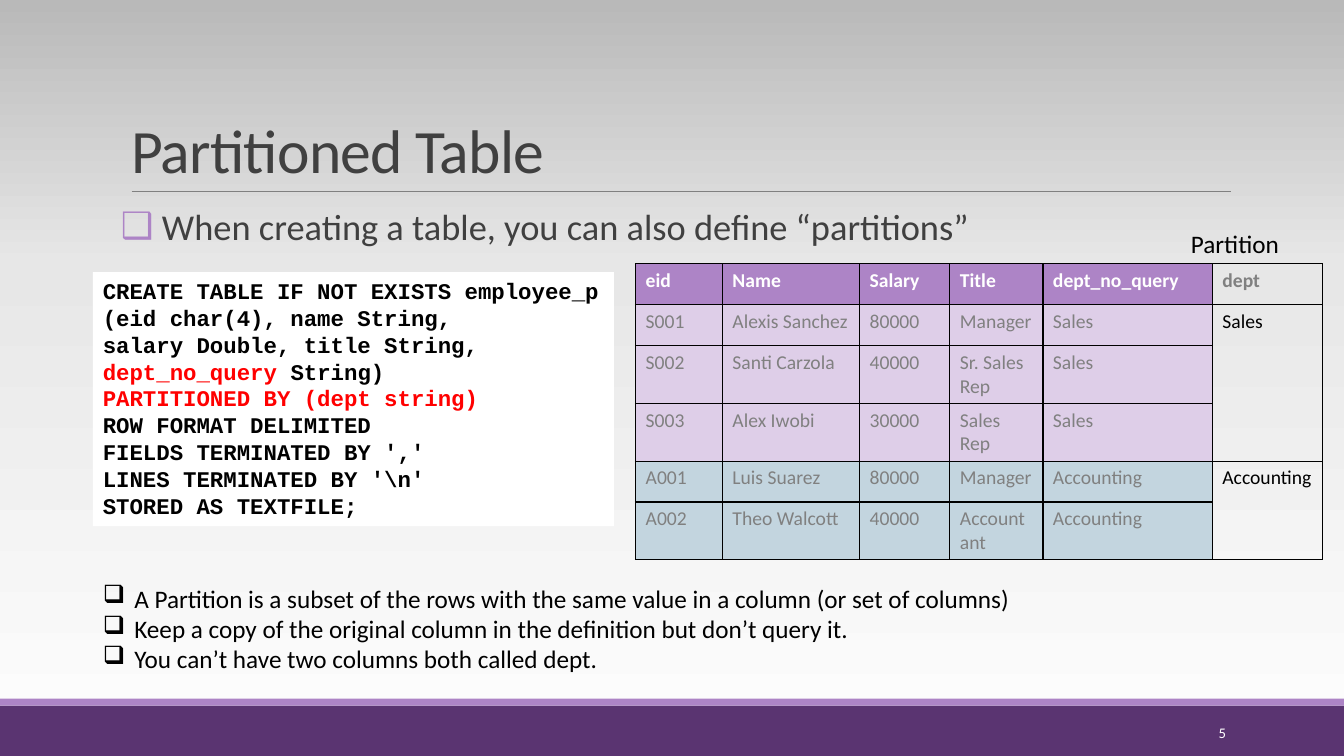
from copy import deepcopy
from dataclasses import dataclass

from lxml.etree import SubElement as Sub
from pptx import Presentation
from pptx.dml.color import RGBColor as Rgb
from pptx.enum.shapes import MSO_CONNECTOR as Link, MSO_SHAPE as Kind
from pptx.enum.text import MSO_ANCHOR as Anchor, MSO_AUTO_SIZE as Auto, PP_ALIGN as Align
from pptx.oxml.ns import qn
from pptx.util import Pt

BLACK, WHITE, RED, GREY, DARK = "000000", "FFFFFF", "FF0000", "808080", "404040"
LILAC, PLUM, PINK, BLUE = "AD84C6", "5A3471", "DECEE8", "C3D5DF"


@dataclass(frozen=True)
class Style:
    """Look of a paragraph's text."""
    size: float
    color: str = BLACK
    bold: bool = False
    face: str = "Calibri"


@dataclass(frozen=True)
class Box:
    """Place and size in points."""
    left: float
    top: float
    width: float
    height: float

    def sides(self) -> tuple:
        """Return the four lengths."""
        return Pt(self.left), Pt(self.top), Pt(self.width), Pt(self.height)


@dataclass(frozen=True)
class Group:
    """Table rows that share one partition."""
    dept: str
    fill: str
    rows: tuple


def paint(color: str) -> Rgb:
    """Turn a hex string into a colour."""
    return Rgb.from_string(color)


def write(par, text: str, style: Style) -> None:
    """Put styled text in a paragraph."""
    par.add_run().text = text
    dress(par, style)


def dress(par, style: Style) -> None:
    """Set a paragraph's font."""
    font = par.font
    font.name, font.size, font.bold = style.face, Pt(style.size), style.bold
    font.color.rgb = paint(style.color)


def mark(par, indent: float, color: str) -> None:
    """Give a paragraph a hanging box bullet."""
    props = par._p.get_or_add_pPr()
    props.set("marL", str(Pt(indent)))
    props.set("indent", str(-Pt(indent)))
    Sub(Sub(props, qn("a:buClr")), qn("a:srgbClr"), val=color)
    Sub(props, qn("a:buChar"), char="\u2751")


def place(shape, box: Box) -> None:
    """Move and size a shape."""
    shape.left, shape.top, shape.width, shape.height = box.sides()


def block(slide, box: Box, color: str):
    """Draw a plain filled rectangle."""
    shape = slide.shapes.add_shape(Kind.RECTANGLE, *box.sides())
    shape.shadow.inherit = False
    shape.fill.solid()
    shape.fill.fore_color.rgb = paint(color)
    shape.line.fill.background()
    return shape


def label(slide, box: Box, lines: tuple, style: Style, indent: float = 0):
    """Add a text box, with bullets if an indent is given."""
    frame = slide.shapes.add_textbox(*box.sides()).text_frame
    frame.word_wrap = False
    for i, line in enumerate(lines):
        par = frame.add_paragraph() if i else frame.paragraphs[0]
        if indent:
            mark(par, indent, style.color)
        write(par, line, style)
    return frame


def shade(slide) -> None:
    """Fill the background with a grey gradient."""
    fill = slide.background.fill
    fill.gradient()
    fill.gradient_angle = 90
    first = fill.gradient_stops[0]._gs
    first.addnext(deepcopy(first))
    looks = (0, "FEFEFE"), (0.65, "E7E7E7"), (1, "B9B9B9")
    for stop, (spot, color) in zip(fill.gradient_stops, looks):
        stop.position = spot
        stop.color.rgb = paint(color)


def rule(slide, left: float, right: float, top: float) -> None:
    """Draw the thin line below the title."""
    line = slide.shapes.add_connector(Link.STRAIGHT, Pt(left), Pt(top), Pt(right), Pt(top))
    line.line.color.rgb = paint(GREY)
    line.line.width = Pt(0.5)
    Sub(line._element.spPr, qn("a:effectLst"))


def frame_cell(cell) -> None:
    """Draw black borders on all sides of a cell."""
    props = cell._tc.get_or_add_tcPr()
    for i, side in enumerate(("lnL", "lnR", "lnT", "lnB")):
        edge = Sub(props, qn(f"a:{side}"), w=str(Pt(1)))
        Sub(Sub(edge, qn("a:solidFill")), qn("a:srgbClr"), val=BLACK)
        props.insert(i, edge)


def fill_cell(cell, text: str, style: Style, color: str = "") -> None:
    """Fill, frame and write one table cell."""
    if color:
        cell.fill.solid()
        cell.fill.fore_color.rgb = paint(color)
    else:
        cell.fill.background()
    frame_cell(cell)
    if text:
        write(cell.text_frame.paragraphs[0], text, style)


def staff_table(slide, left: float, top: float, groups: tuple) -> None:
    """Build the staff table with its merged partition column."""
    heads = "eid", "Name", "Salary", "Title", "dept_no_query"
    widths = 62, 98, 64.5, 66.5, 121, 79
    high, last = 29.2, len(heads)
    count = 1 + sum(len(group.rows) for group in groups)
    box = Box(left, top, sum(widths), high * count)
    table = slide.shapes.add_table(count, len(widths), *box.sides()).table
    for col, width in zip(table.columns, widths):
        col.width = Pt(width)
    for row in table.rows:
        row.height = Pt(high)
    for x, head in enumerate(heads):
        fill_cell(table.cell(0, x), head, Style(14, WHITE, True), LILAC)
    fill_cell(table.cell(0, last), "dept", Style(14, GREY, True))
    y = 1
    for group in groups:
        start = y
        for row in group.rows:
            for x, text in enumerate((*row, group.dept)):
                fill_cell(table.cell(y, x), text, Style(14, GREY), group.fill)
            fill_cell(table.cell(y, last), group.dept if y == start else "", Style(14))
            y += 1
        table.cell(start, last).merge(table.cell(y - 1, last))


def code_block(slide, box: Box, lines: tuple) -> None:
    """Show code lines made of (text, colour) parts."""
    frame = block(slide, box, WHITE).text_frame
    frame.word_wrap, frame.vertical_anchor = True, Anchor.TOP
    for i, parts in enumerate(lines):
        par = frame.add_paragraph() if i else frame.paragraphs[0]
        par.alignment = Align.LEFT
        dress(par, Style(16, BLACK, True, "Courier New"))
        for text, color in parts:
            run = par.add_run()
            run.text = text
            run.font.color.rgb = paint(color)


GROUPS = (
    Group("Sales", PINK, (("S001", "Alexis Sanchez", "80000", "Manager"),
                          ("S002", "Santi Carzola", "40000", "Sr. Sales Rep"),
                          ("S003", "Alex Iwobi", "30000", "Sales Rep"))),
    Group("Accounting", BLUE, (("A001", "Luis Suarez", "80000", "Manager"),
                               ("A002", "Theo Walcott", "40000", "Accountant"))),
)
CODE = (
    (("CREATE TABLE IF NOT EXISTS employee_p (eid char(4), name String,", BLACK),),
    (("salary Double, title String, ", BLACK), ("dept_no_query ", RED), ("String)", BLACK)),
    (("PARTITIONED BY (dept string)", RED),),
    *(((text, BLACK),) for text in ("ROW FORMAT DELIMITED", "FIELDS TERMINATED BY ','",
                                    "LINES TERMINATED BY '\\n'", "STORED AS TEXTFILE;")),
)
NOTES = (
    "A Partition is a subset of the rows with the same value in a column (or set of columns)",
    "Keep a copy of the original column in the definition but don’t query it.",
    "You can’t have two columns both called dept.",
)

deck = Presentation()
deck.slide_width, deck.slide_height = Pt(960), Pt(540)
slide = deck.slides.add_slide(deck.slide_layouts[1])
shade(slide)
block(slide, Box(0, 504, 960, 36), PLUM)
block(slide, Box(0, 499, 960, 5), LILAC)
rule(slide, 94, 879, 136.8)

title, body = slide.placeholders
place(title, Box(86.4, 22.5, 792, 114.2))
title.text_frame.vertical_anchor, title.text_frame.auto_size = Anchor.BOTTOM, Auto.NONE
par = title.text_frame.paragraphs[0]
par.alignment, par.line_spacing = Align.LEFT, 0.85
write(par, "Partitioned Table", Style(44, DARK))
par.runs[0]._r.get_or_add_rPr().set("spc", "-50")

place(body, Box(86.4, 145.4, 792, 316.8))
frame = body.text_frame
frame.margin_left = frame.margin_right = 0
frame.auto_size = Auto.NONE
par = frame.paragraphs[0]
mark(par, 7.2, LILAC)
par.line_spacing, par.space_before, par.space_after = 0.9, Pt(12), Pt(2)
write(par, " When creating a table, you can also define “partitions”", Style(26, DARK))

code_block(slide, Box(66.4, 194.4, 372.2, 181.4), CODE)
staff_table(slide, 454, 188.4, GROUPS)
label(slide, Box(843.6, 159.4, 78.5, 29), ("Partition",), Style(18))
label(slide, Box(66.4, 412.8, 671.8, 72.7), NOTES, Style(18), 22.5)
page = label(slide, Box(780, 508.6, 102.8, 28.8), ("5",), Style(10.5, WHITE))
page.word_wrap, page.vertical_anchor = True, Anchor.MIDDLE
page.paragraphs[0].alignment = Align.RIGHT
deck.save("out.pptx")
